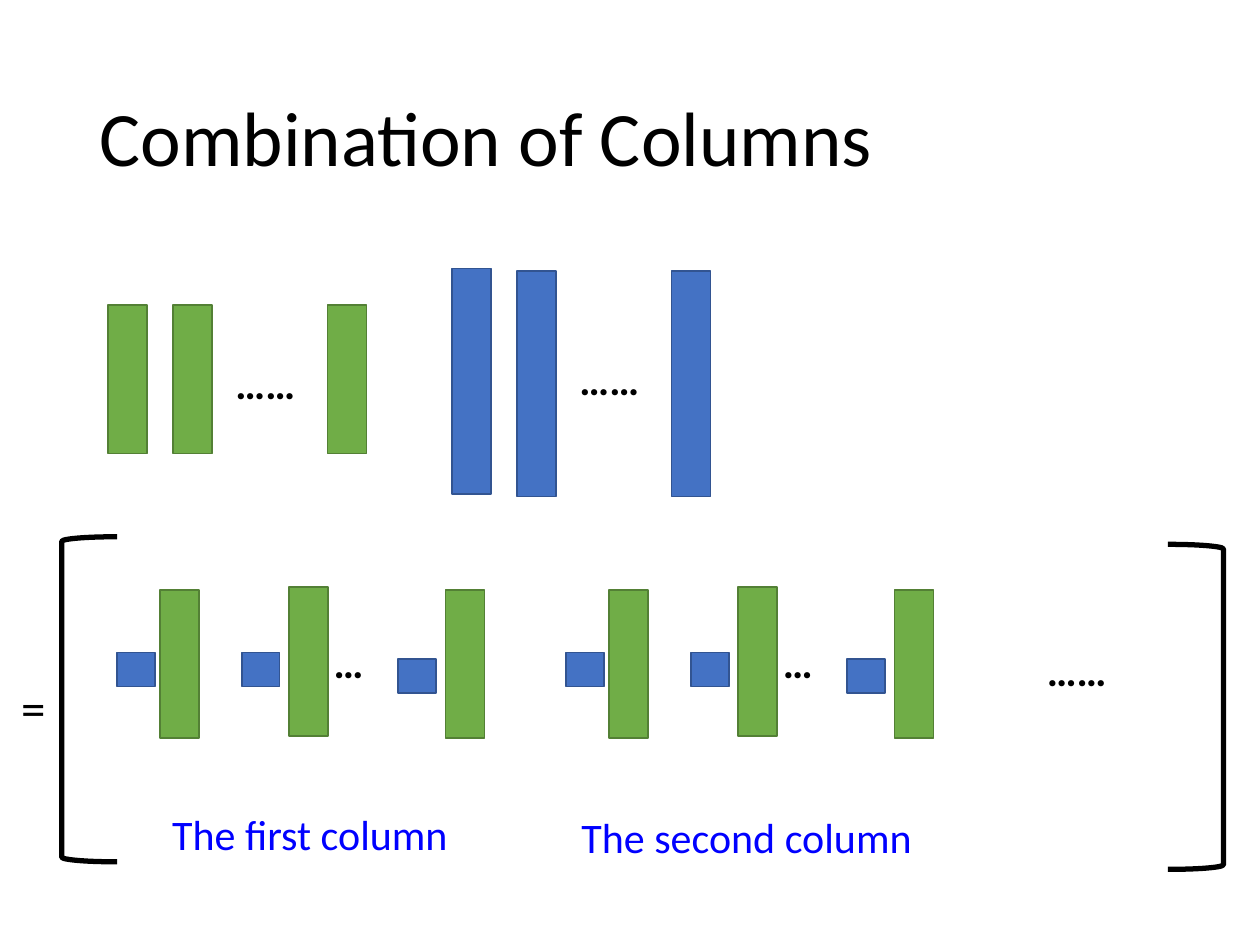
from dataclasses import dataclass

from pptx import Presentation
from pptx import util as u
from pptx.dml.color import RGBColor
from pptx.enum import shapes, text


@dataclass(frozen=True)
class Theme:
    font: str = "Calibri"
    ink: str = "000000"
    label: str = "0000FF"
    green: tuple = ("70AD47", "538035")
    blue: tuple = ("4472C4", "325491")
    title_size: int = 44
    equals_size: int = 28
    body_size: int = 24
    outline: int = 1
    bracket_line: int = 3


THEME = Theme()
COLUMNS, ROWS = 100, 75
CELL = u.Inches(0.1)

BAR_WIDTH = 3.1
GREEN_HEIGHT, BLUE_HEIGHT = 11.8, 17.9
SCALAR_SIZE = (3, 2.7)
BRACKET_SIZE = (4.4, 25.8)
DOTS_SIZE = (6.9, 5)
TERM_PITCH = 35.65


def place(*lengths):
    return [round(length * CELL) for length in lengths]


def format_with(target, values):
    for name, value in values.items():
        setattr(target, name, value)


def write(shape, words, size, color=THEME.ink, bold=False,
          align=text.PP_ALIGN.LEFT, spacing=None):
    frame = shape.text_frame
    frame.word_wrap = True
    para = frame.paragraphs[0]
    format_with(para, {"alignment": align, "line_spacing": spacing})
    span = para.add_run()
    span.text = words
    format_with(span.font, {"name": THEME.font, "size": u.Pt(size), "bold": bold})
    span.font.color.rgb = RGBColor.from_string(color)


def add_title(page, words):
    title = page.shapes.title
    names = ("left", "top", "width", "height")
    format_with(title, dict(zip(names, place(6.9, 4, 86.2, 14.5))))
    format_with(title.text_frame, {"auto_size": text.MSO_AUTO_SIZE.NONE,
                                   "vertical_anchor": text.MSO_ANCHOR.MIDDLE})
    write(title, words, THEME.title_size, spacing=0.9)


def add_label(holder, words, left, top, width, height, size=THEME.body_size, **style):
    box = holder.shapes.add_textbox(*place(left, top, width, height))
    box.text_frame.auto_size = text.MSO_AUTO_SIZE.SHAPE_TO_FIT_TEXT
    write(box, words, size, **style)


def add_dots(holder, left, top, words="……"):
    add_label(holder, words, left, top, *DOTS_SIZE, bold=True)


def add_block(holder, colors, left, top, width, height):
    block = holder.shapes.add_shape(shapes.MSO_SHAPE.RECTANGLE,
                                    *place(left, top, width, height))
    fill, line = map(RGBColor.from_string, colors)
    block.shadow.inherit = False
    block.fill.solid()
    block.fill.fore_color.rgb = fill
    block.line.color.rgb = line
    block.line.width = u.Pt(THEME.outline)


def add_bracket(holder, kind, left, top):
    bracket = holder.shapes.add_shape(kind, *place(left, top, *BRACKET_SIZE))
    bracket.shadow.inherit = False
    bracket.fill.background()
    bracket.line.color.rgb = RGBColor.from_string(THEME.ink)
    bracket.line.width = u.Pt(THEME.bracket_line)


def add_matrix(page, colors, left, tops, height):
    """Draw a matrix as its first, second and last column."""
    for offset, top in zip((0, 5.15, 17.4), tops):
        add_block(page, colors, left + offset, top, BAR_WIDTH, height)


def add_term(page, left):
    """Draw one result column: scalars, each beside the column it weights."""
    group = page.shapes.add_group_shape()
    for offset, top in ((3.4, 46.8), (13.65, 46.6), (26.05, 46.8)):
        add_block(group, THEME.green, left + offset, top, BAR_WIDTH, GREEN_HEIGHT)
    add_dots(group, left + 16.2, 50, "…")
    for offset, top in ((0, 51.8), (9.9, 51.8), (22.3, 52.3)):
        add_block(group, THEME.blue, left + offset, top, *SCALAR_SIZE)


def main():
    deck = Presentation()
    deck.slide_width, deck.slide_height = COLUMNS * CELL, ROWS * CELL
    page = deck.slides.add_slide(deck.slide_layouts.get_by_name("Title Only"))
    add_title(page, "Combination of Columns")

    add_matrix(page, THEME.blue, 35.9, (21.3, 21.5, 21.5), BLUE_HEIGHT)
    add_matrix(page, THEME.green, 8.6, (24.2,) * 3, GREEN_HEIGHT)
    add_dots(page, 17.7, 27.9)
    add_dots(page, 45, 27.6)

    opening = page.shapes.add_group_shape()
    add_label(opening, "=", 0, 53.3, 4.6, 5.7, THEME.equals_size,
              align=text.PP_ALIGN.RIGHT)
    add_bracket(opening, shapes.MSO_SHAPE.LEFT_BRACKET, 4.9, 42.6)
    add_bracket(page, shapes.MSO_SHAPE.RIGHT_BRACKET, 92.7, 43.2)

    for index in range(2):
        add_term(page, 9.3 + index * TERM_PITCH)
    add_dots(page, 82.1, 50.7)

    for words, left, top, width in (("The first column", 12.1, 63.7, 25),
                                    ("The second column", 42.7, 63.9, 33.1)):
        add_label(page, words, left, top, width, 5, color=THEME.label,
                  align=text.PP_ALIGN.CENTER)
    deck.save("out.pptx")


if __name__ == "__main__":
    main()
